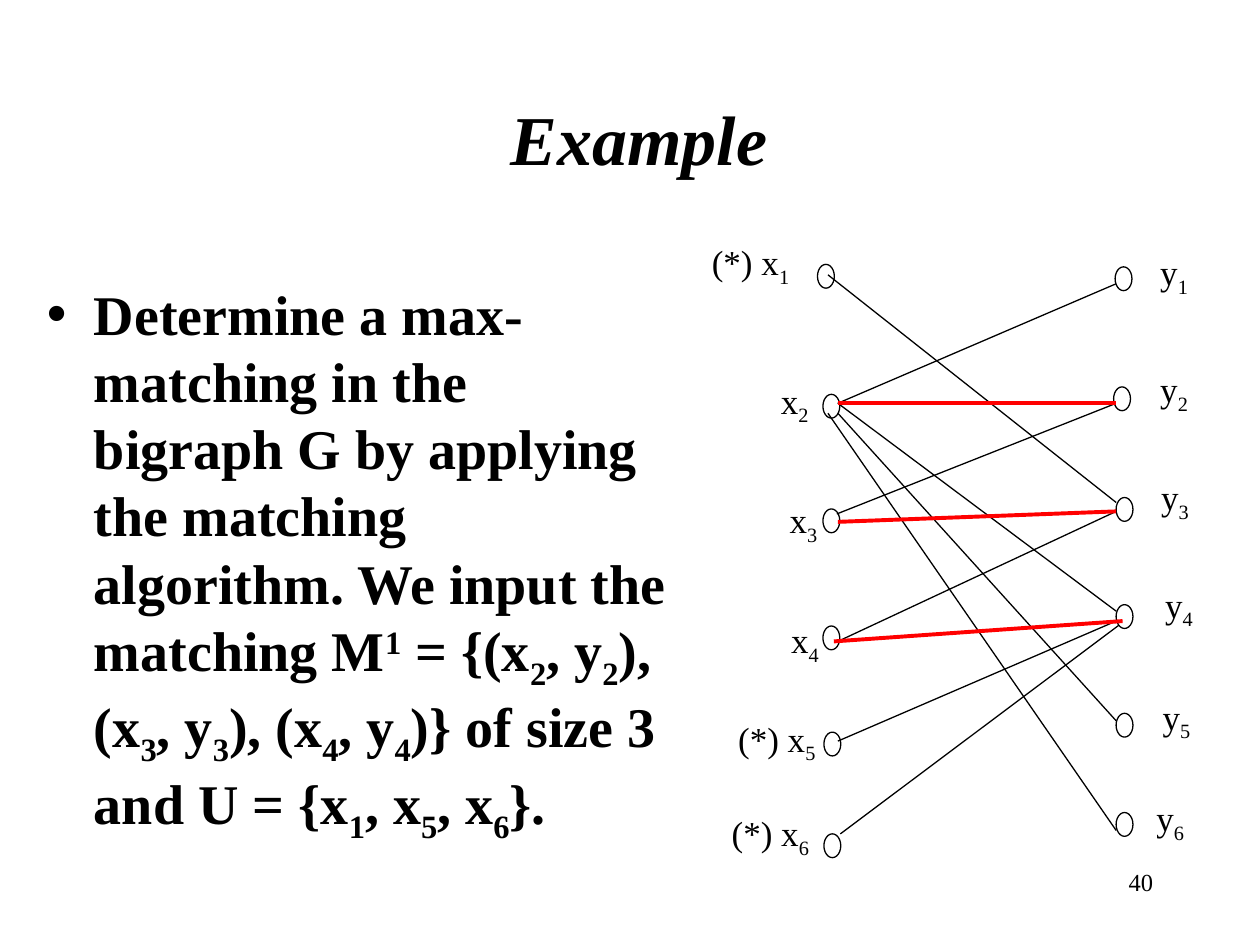
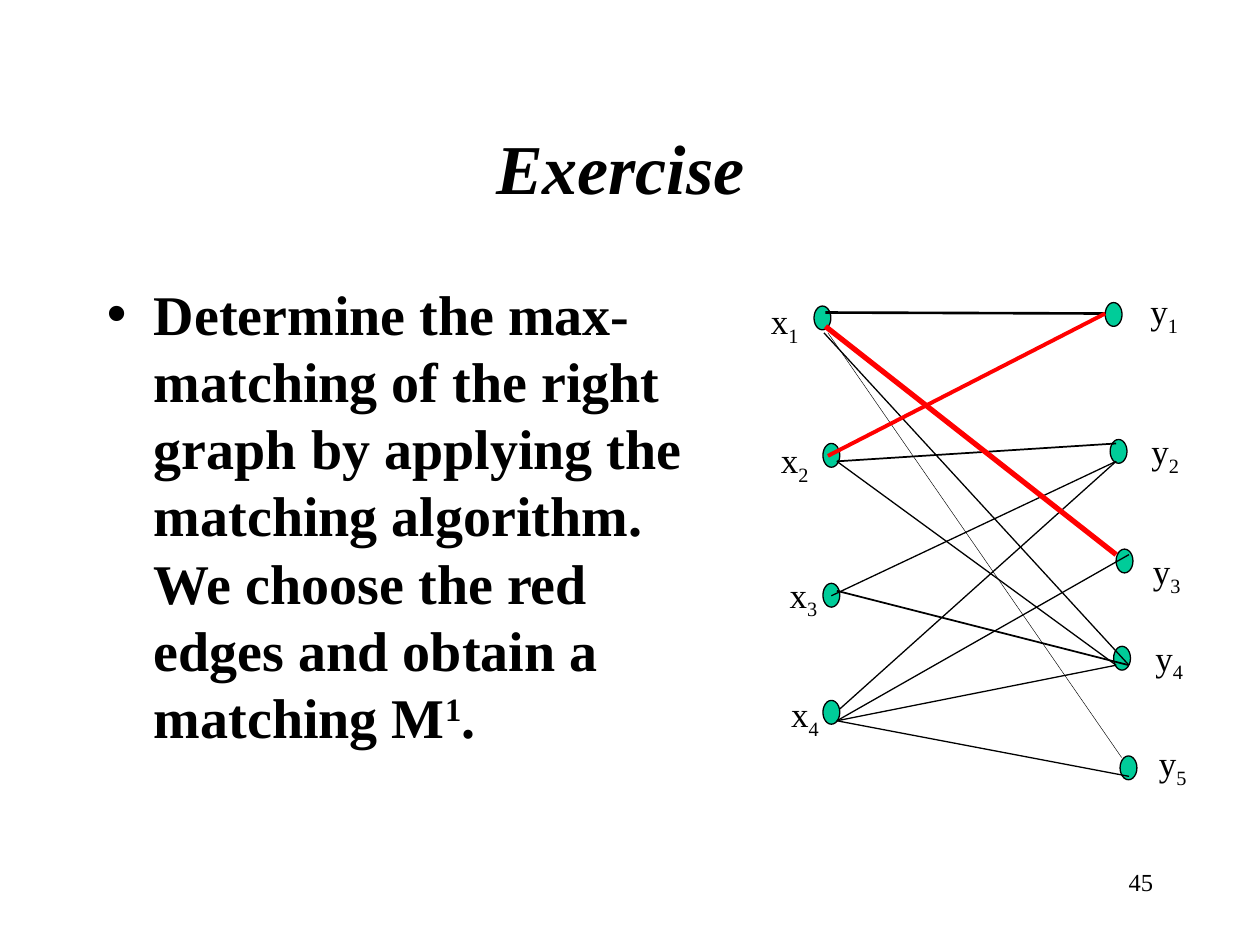
from dataclasses import dataclass

from lxml import etree
from pptx import Presentation
from pptx.dml.color import RGBColor
from pptx.enum.shapes import MSO_CONNECTOR, MSO_SHAPE
from pptx.enum.text import MSO_ANCHOR, MSO_AUTO_SIZE, PP_ALIGN
from pptx.oxml.ns import qn
from pptx.util import Cm, Pt

OVAL = MSO_SHAPE.OVAL
STRAIGHT = MSO_CONNECTOR.STRAIGHT
LEFT, CENTER, RIGHT = PP_ALIGN.LEFT, PP_ALIGN.CENTER, PP_ALIGN.RIGHT
TOP, MIDDLE = MSO_ANCHOR.TOP, MSO_ANCHOR.MIDDLE
NO_FIT = MSO_AUTO_SIZE.NONE


@dataclass(frozen=True)
class Theme:
    """Colours, font and type sizes shared by the slides."""
    font: str = "Times New Roman"
    ink: RGBColor = RGBColor(0, 0, 0)
    paper: RGBColor = RGBColor(255, 255, 255)
    matched: RGBColor = RGBColor(255, 0, 0)
    node: RGBColor = RGBColor(0, 204, 153)
    title: int = 40
    title_end: int = 44
    body: int = 32
    label: int = 20
    number: int = 14
    thin: float = 0.75
    thick: float = 2.25


THEME = Theme()
BASELINES = {"_": "-25000", "^": "30000"}
NODE_W, NODE_H = 0.34, 0.48
LABEL_W, STARRED_W, LABEL_H = 1.65, 2.87, 1.22
GRAPH_BOX = (14, 4.5)
NUMBER_BOX = (18.2, 17.35, 5.3, 1.27)

EXAMPLE = {
    "title": "Example",
    "title_box": (2.28, 1.12, 21.6, 3.18),
    "body": ["Determine a max-matching in the bigraph G by applying the matching "
             "algorithm. We input the matching M", "^1", " = {(x", "_2", ", y", "_2",
             "), (x", "_3", ", y", "_3", "), (x", "_4", ", y", "_4",
             ")} of size 3 and U = {x", "_1", ", x", "_5", ", x", "_6", "}."],
    "body_box": (0.69, 5.5, 13, 11.43),
    "number": "40",
    "node_fill": None,
    "nodes": {
        "x1": (2.48, 0.83, 0.1, 0.22), "x2": (2.59, 3.45, 1.49, 3.02),
        "x3": (2.59, 5.76, 1.67, 5.43), "x4": (2.59, 8.12, 1.7, 7.84),
        "x5": (2.61, 10.26, 0.63, 9.83), "x6": (2.61, 12.31, 0.5, 11.73),
        "y1": (8.48, 0.88, 9.14, 0.43), "y2": (8.45, 3.3, 9.14, 2.79),
        "y3": (8.5, 5.53, 9.16, 4.97), "y4": (8.5, 7.69, 9.24, 7.13),
        "y5": (8.5, 9.88, 9.19, 9.39), "y6": (8.5, 11.88, 9.06, 11.43),
    },
    "unmatched": {"x1", "x5", "x6"},
    "edges": [
        (2.89, 3.63, 8.5, 1.22), (2.89, 3.63, 8.5, 7.82),
        (2.89, 3.83, 8.5, 10.03), (2.69, 3.83, 8.5, 12.24),
        (2.87, 5.86, 8.45, 3.65), (2.89, 8.43, 8.5, 5.81),
        (2.89, 10.44, 8.5, 8.02), (2.94, 12.31, 8.56, 8.1),
        (2.69, 1.04, 8.5, 5.63),
    ],
    "matching": [
        (2.89, 3.63, 8.5, 3.63), (2.89, 6.02, 8.5, 5.81), (2.81, 8.43, 8.63, 8.02),
    ],
}

EXERCISE = {
    "title": "Exercise",
    "title_box": (1.9, 1.7, 21.6, 3.18),
    "body": ["Determine the max-matching of the right graph by applying the matching "
             "algorithm. We choose the red edges and obtain a matching M", "^1", "."],
    "body_box": (1.9, 5.5, 13, 11.43),
    "number": "45",
    "node_fill": THEME.node,
    "nodes": {
        "x1": (2.41, 1.67, 1.29, 1.42), "x2": (2.59, 4.44, 1.49, 4.21),
        "x3": (2.59, 7.26, 1.67, 6.93), "x4": (2.59, 9.62, 1.7, 9.34),
        "y1": (8.28, 1.6, 8.94, 1.22), "y2": (8.38, 4.36, 8.96, 4.03),
        "y3": (8.5, 6.57, 8.99, 6.45), "y4": (8.45, 8.53, 9.04, 8.2),
        "y5": (8.58, 10.74, 9.11, 10.33),
    },
    "unmatched": set(),
    "edges": [
        (2.64, 1.8, 8.28, 1.82, 1.5), (2.76, 7.51, 8.5, 4.8),
        (2.92, 9.8, 8.5, 4.8), (2.61, 2.21, 8.76, 8.91),
        (2.69, 2.21, 8.61, 10.77, 0.25), (2.87, 4.8, 8.5, 4.44, 1),
        (2.87, 4.8, 8.5, 8.91), (2.87, 10.03, 8.76, 6.68),
        (2.87, 10.03, 8.5, 8.91), (2.87, 10.03, 8.76, 11.15),
        (2.87, 7.41, 8.76, 8.91, 1),
    ],
    "matching": [(2.69, 4.69, 8.28, 1.82), (2.64, 2.08, 8.5, 6.68, 3)],
}


def cms(values):
    """Turn a sequence of centimetres into lengths."""
    return [Cm(v) for v in values]


def place(sp, box):
    """Move and resize a placeholder to a box."""
    sp.left, sp.top, sp.width, sp.height = cms(box)


def add_run(p, text, size, bold=False, italic=False):
    """Add a run; a leading _ or ^ makes it a subscript or superscript."""
    r = p.add_run()
    baseline = BASELINES.get(text[0])
    r.text = text[1:] if baseline else text
    r.font.name, r.font.size = THEME.font, Pt(size)
    r.font.bold, r.font.italic = bold, italic
    r.font.color.rgb = THEME.ink
    if baseline:
        r.font._element.set("baseline", baseline)


def first_paragraph(sp, align=LEFT, anchor=TOP, before=0):
    """Prepare a wrapping text frame and return its paragraph."""
    tf = sp.text_frame
    tf.word_wrap, tf.auto_size, tf.vertical_anchor = True, NO_FIT, anchor
    p = tf.paragraphs[0]
    p.alignment, p.space_before = align, Pt(before)
    return p


def add_title(s, text, box):
    """Fill the title placeholder."""
    sp = s.shapes.title
    place(sp, box)
    p = first_paragraph(sp, CENTER, MIDDLE)
    add_run(p, text, THEME.title, bold=True, italic=True)
    add_run(p, " ", THEME.title_end, italic=True)


def add_body(s, pieces, box):
    """Fill the body placeholder with one bulleted paragraph."""
    sp = s.placeholders[1]
    place(sp, box)
    p = first_paragraph(sp, before=8)
    pPr = p._p.get_or_add_pPr()
    pPr.set("marL", str(Cm(0.95)))
    pPr.set("indent", str(-Cm(0.95)))
    etree.SubElement(pPr, qn("a:buChar")).set("char", "•")
    for piece in pieces:
        add_run(p, piece, THEME.body, bold=True)


def add_number(s, text):
    """Add the slide number at the bottom right."""
    sp = s.shapes.add_textbox(*cms(NUMBER_BOX))
    add_run(first_paragraph(sp, RIGHT), text, THEME.number)


def add_node(s, x, y, fill):
    """Draw one vertex of the graph."""
    sp = s.shapes.add_shape(OVAL, *cms((x, y, NODE_W, NODE_H)))
    sp.shadow.inherit = False
    sp.line.color.rgb, sp.line.width = THEME.ink, Pt(THEME.thin)
    if fill is None:
        sp.fill.background()
    else:
        sp.fill.solid()
        sp.fill.fore_color.rgb = fill


def add_label(s, x, y, name, starred):
    """Write a vertex name with its index as a subscript."""
    width = STARRED_W if starred else LABEL_W
    sp = s.shapes.add_textbox(*cms((x, y, width, LABEL_H)))
    p = first_paragraph(sp, before=12.5)
    add_run(p, "(*) " + name[0] if starred else name[0], THEME.label)
    add_run(p, "_" + name[1], THEME.label)


def add_edge(s, ends, color, width):
    """Draw one edge of the graph."""
    line = s.shapes.add_connector(STRAIGHT, *cms(ends))
    line.line.color.rgb, line.line.width = color, Pt(width)
    etree.SubElement(line._element.spPr, qn("a:effectLst"))


def add_graph(s, data, box):
    """Draw vertices, labels and edges relative to the top left of the box."""
    left, top = box
    for name, (x, y, label_x, label_y) in data["nodes"].items():
        add_node(s, left + x, top + y, data["node_fill"])
        add_label(s, left + label_x, top + label_y, name, name in data["unmatched"])
    for key, color, default in (("edges", THEME.ink, THEME.thin),
                                ("matching", THEME.matched, THEME.thick)):
        for x1, y1, x2, y2, *width in data[key]:
            ends = (left + x1, top + y1, left + x2, top + y2)
            add_edge(s, ends, color, width[0] if width else default)


def add_graph_slide(prs, data):
    """Build a slide with a text on the left and a bigraph on the right."""
    s = prs.slides.add_slide(prs.slide_layouts[1])
    s.background.fill.solid()
    s.background.fill.fore_color.rgb = THEME.paper
    add_title(s, data["title"], data["title_box"])
    add_body(s, data["body"], data["body_box"])
    add_graph(s, data, GRAPH_BOX)
    add_number(s, data["number"])


def main():
    """Build and save the presentation."""
    prs = Presentation()
    prs.slide_width, prs.slide_height = Cm(25.4), Cm(19.05)
    for data in (EXAMPLE, EXERCISE):
        add_graph_slide(prs, data)
    prs.save("out.pptx")


if __name__ == "__main__":
    main()
